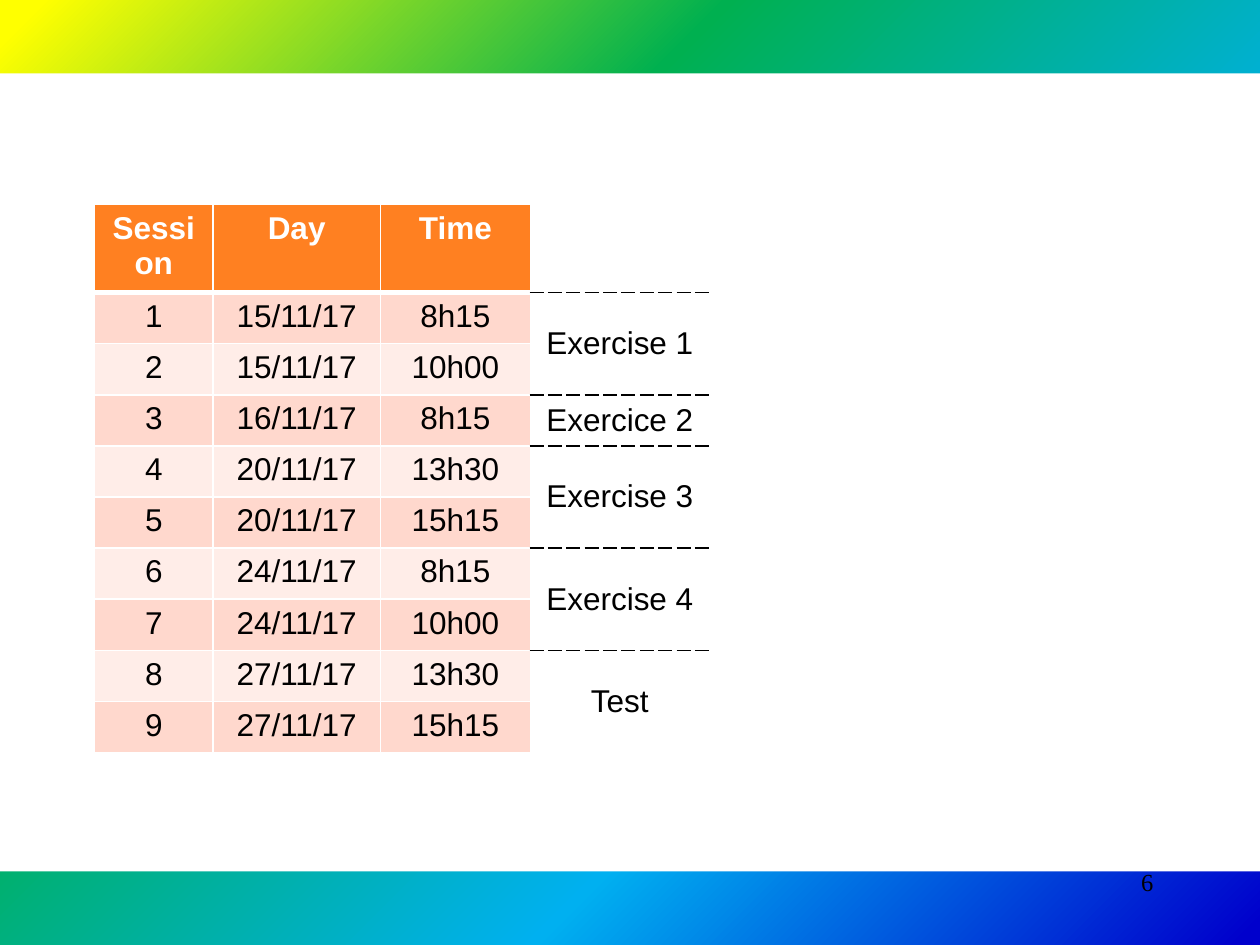
import copy

import pptx
import pptx.dml.color
import pptx.enum.shapes
import pptx.enum.text
import pptx.oxml
import pptx.oxml.ns
import pptx.util

Cm, Pt = pptx.util.Cm, pptx.util.Pt
qn = pptx.oxml.ns.qn
ALIGN = pptx.enum.text.PP_ALIGN
ANCHOR = pptx.enum.text.MSO_ANCHOR

# Content
HEADERS = ("Session", "Day", "Time")
SESSIONS = [
    ("15/11/17", "8h15"),
    ("15/11/17", "10h00"),
    ("16/11/17", "8h15"),
    ("20/11/17", "13h30"),
    ("20/11/17", "15h15"),
    ("24/11/17", "8h15"),
    ("24/11/17", "10h00"),
    ("27/11/17", "13h30"),
    ("27/11/17", "15h15"),
]
# Topic and the number of sessions it takes
TOPICS = [("Exercise 1", 2), ("Exercice 2", 1), ("Exercise 3", 2),
          ("Exercise 4", 2), ("Test", 2)]
PAGE_NUMBER = "6"

COLORS = {"white": "FFFFFF", "black": "000000", "header": "FF8021",
          "odd": "FFD8CD", "even": "FFEDE8"}
BACKDROP = [(0.01, "0000CC"), (0.33, "00B0F0"), (0.67, "00B050"), (0.98, "FFFF00")]

# Layout in cm
SLIDE_W, SLIDE_H = 25.4, 19.05
BAND_H = 1.48
TABLE_LEFT, TABLE_TOP = 1.91, 4.12
COLUMN_WIDTHS = (2.38, 3.38, 3.02, 3.61)
HEADER_H, ROW_H = 1.75, 1.03
TOPIC_COLUMN = len(HEADERS)

WHITE_LINE = (COLORS["white"], 1, "solid")
HEADER_LINE = (COLORS["white"], 3, "solid")
DASHED_LINE = (COLORS["black"], 1, "dash")


def rgb(value):
    return pptx.dml.color.RGBColor.from_string(value)


def write(frame, text, size, font_name, color, align, bold=False):
    paragraph = frame.paragraphs[0]
    paragraph.text = text
    paragraph.alignment = align
    font = paragraph.font
    font.size, font.name, font.bold = Pt(size), font_name, bold
    font.color.rgb = rgb(color)


def set_borders(cell, top=WHITE_LINE, bottom=WHITE_LINE):
    sides = (("L", WHITE_LINE), ("R", WHITE_LINE), ("T", top), ("B", bottom))
    properties = cell._tc.get_or_add_tcPr()
    for index, (side, (color, width, dash)) in enumerate(sides):
        properties.insert(index, pptx.oxml.parse_xml(
            f'<a:ln{side} {pptx.oxml.ns.nsdecls("a")} w="{Pt(width)}">'
            f'<a:solidFill><a:srgbClr val="{color}"/></a:solidFill>'
            f'<a:prstDash val="{dash}"/></a:ln{side}>'))


def fill_cell(cell, text, fill, color=COLORS["black"], bold=False):
    write(cell.text_frame, text, 18, "Arial", color, ALIGN.CENTER, bold)
    if fill:
        cell.fill.solid()
        cell.fill.fore_color.rgb = rgb(fill)
    else:
        cell.fill.background()


def add_backdrop(slide):
    fill = slide.background.fill
    fill.gradient()
    fill.gradient_angle = 135
    stop_list = slide.element.find(".//" + qn("a:gsLst"))
    while len(stop_list) < len(BACKDROP):
        stop_list.append(copy.deepcopy(stop_list[0]))
    for stop, (position, color) in zip(fill.gradient_stops, BACKDROP):
        stop.position = position
        stop.color.rgb = rgb(color)

    # White page between the two coloured bands
    page = slide.shapes.add_shape(
        pptx.enum.shapes.MSO_SHAPE.RECTANGLE,
        0, Cm(BAND_H), Cm(SLIDE_W), Cm(SLIDE_H - 2 * BAND_H))
    page.shadow.inherit = False
    page.fill.solid()
    page.fill.fore_color.rgb = rgb(COLORS["white"])
    page.line.fill.background()


def add_schedule(slide):
    row_heights = [HEADER_H] + [ROW_H] * len(SESSIONS)
    schedule = slide.shapes.add_table(
        len(row_heights), len(COLUMN_WIDTHS), Cm(TABLE_LEFT), Cm(TABLE_TOP),
        Cm(sum(COLUMN_WIDTHS)), Cm(sum(row_heights))).table
    for column, width in zip(schedule.columns, COLUMN_WIDTHS):
        column.width = Cm(width)
    for row, height in zip(schedule.rows, row_heights):
        row.height = Cm(height)

    # Header row
    for column, title in enumerate(HEADERS):
        cell = schedule.cell(0, column)
        fill_cell(cell, title, COLORS["header"], COLORS["white"], bold=True)
        set_borders(cell, bottom=HEADER_LINE)
    corner = schedule.cell(0, TOPIC_COLUMN)
    fill_cell(corner, "", None)
    set_borders(corner, bottom=DASHED_LINE)

    # Numbered sessions in banded rows
    for number, session in enumerate(SESSIONS, 1):
        band = COLORS["odd" if number % 2 else "even"]
        for column, text in enumerate((str(number), *session)):
            cell = schedule.cell(number, column)
            fill_cell(cell, text, band)
            set_borders(cell, top=HEADER_LINE if number == 1 else WHITE_LINE)

    # Topics beside their sessions
    first = 1
    for topic, count in TOPICS:
        last = first + count - 1
        bottom = WHITE_LINE if last == len(SESSIONS) else DASHED_LINE
        cell = schedule.cell(first, TOPIC_COLUMN)
        if count > 1:
            cell.merge(schedule.cell(last, TOPIC_COLUMN))
        fill_cell(cell, topic, None)
        cell.vertical_anchor = ANCHOR.MIDDLE
        for row in range(first, last + 1):
            set_borders(schedule.cell(row, TOPIC_COLUMN), DASHED_LINE, bottom)
        first = last + 1


def add_page_number(slide):
    box = slide.shapes.add_textbox(Cm(18.2), Cm(17.35), Cm(5.3), Cm(1.27))
    box.text_frame.word_wrap = True
    write(box.text_frame, PAGE_NUMBER, 14, "Times New Roman",
          COLORS["black"], ALIGN.RIGHT)


def main():
    deck = pptx.Presentation()
    deck.slide_width, deck.slide_height = Cm(SLIDE_W), Cm(SLIDE_H)
    slide = deck.slides.add_slide(deck.slide_layouts[6])
    add_backdrop(slide)
    add_page_number(slide)
    add_schedule(slide)
    deck.save("out.pptx")


if __name__ == "__main__":
    main()
